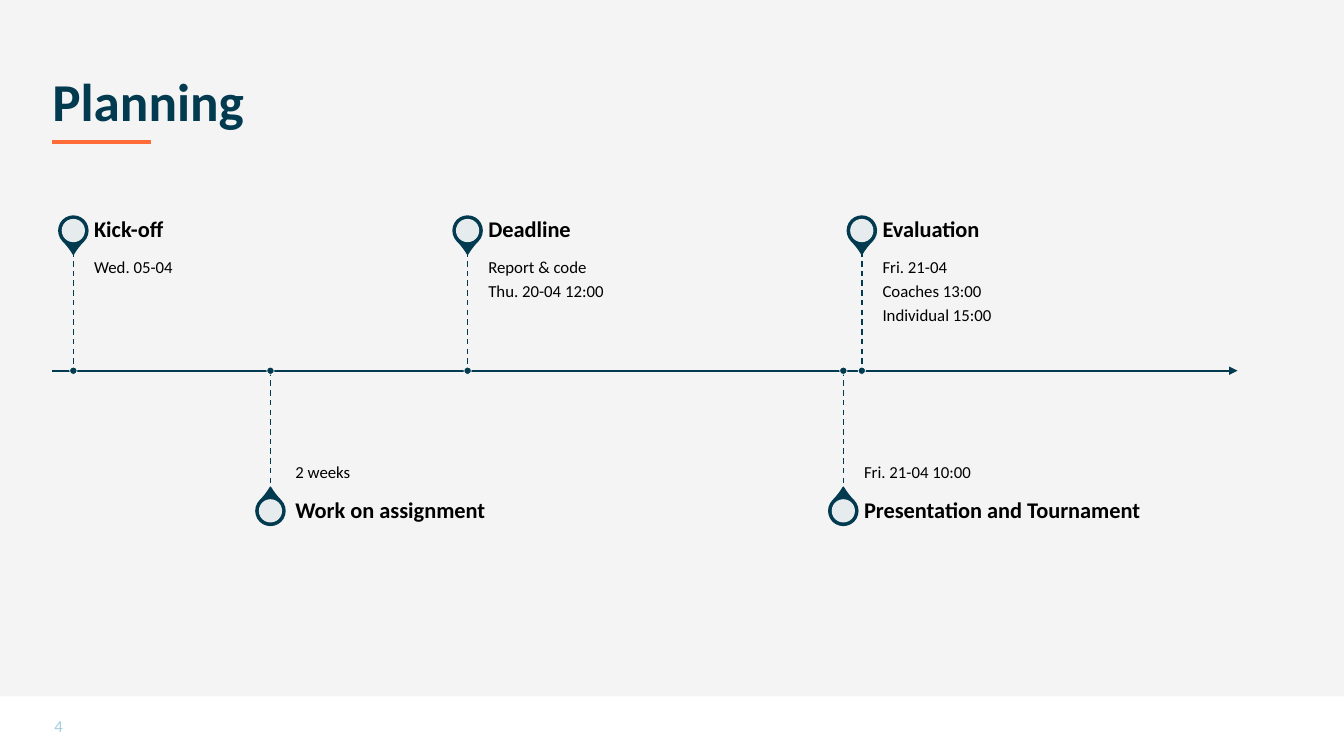
from pptx import Presentation
from pptx.dml.color import RGBColor
from pptx.enum.dml import MSO_LINE as Dash
from pptx.enum.shapes import MSO_CONNECTOR as Link, MSO_SHAPE as Kind
from pptx.enum.text import MSO_ANCHOR as Anchor, MSO_AUTO_SIZE as Auto, PP_ALIGN as Align
from pptx.oxml.ns import qn
from pptx.util import Pt
from lxml.etree import SubElement

NAVY = RGBColor(0x02, 0x3A, 0x4F)
ORANGE = RGBColor(0xFF, 0x6C, 0x37)
PALE = RGBColor(0xA6, 0xCD, 0xDD)
GREY = RGBColor(0xF4, 0xF4, 0xF4)
WHITE = RGBColor(0xFF, 0xFF, 0xFF)
BLACK = RGBColor(0, 0, 0)
FONT = "Calibri"

STEM = 85.3
HEAD = 30
FIRST, STEP = 15.4, 140.8
EVENTS = [
    (FIRST, True, "Kick-off", "Wed. 05-04", 0),
    (FIRST + STEP, False, "Work on assignment", "2 weeks", 3),
    (FIRST + 2 * STEP, True, "Deadline", "Report & code\nThu. 20-04 12:00", 0),
    (565.4, False, "Presentation and Tournament", "Fri. 21-04 10:00", 0),
    (FIRST + 4 * STEP, True, "Evaluation",
     "Fri. 21-04\nCoaches 13:00\nIndividual 15:00", 0),
]


def shape(slide, kind, x, y, w, h, fill, edge=None, width=1):
    item = slide.shapes.add_shape(kind, Pt(x), Pt(y), Pt(w), Pt(h))
    item.shadow.inherit = False
    item.fill.solid()
    item.fill.fore_color.rgb = fill
    if edge is None:
        item.line.fill.background()
    else:
        item.line.color.rgb = edge
        item.line.width = Pt(width)
    return item


def line(slide, x1, y1, x2, y2, color, width):
    item = slide.shapes.add_connector(Link.STRAIGHT, Pt(x1), Pt(y1), Pt(x2), Pt(y2))
    item.line.color.rgb = color
    item.line.width = Pt(width)
    SubElement(item.element.spPr, qn("a:effectLst"))
    return item


def write(item, text, size, color, anchor, bold=False, inset=(0, 0, 0, 0), after=0, lead=0.9):
    frame = item.text_frame
    frame.text = text
    frame.word_wrap = True
    frame.auto_size = Auto.NONE
    frame.vertical_anchor = anchor
    frame.margin_left, frame.margin_top, frame.margin_right, frame.margin_bottom = map(Pt, inset)
    for para in frame.paragraphs:
        para.alignment = Align.LEFT
        para.line_spacing = lead
        para.space_before = Pt(0)
        para.space_after = Pt(after)
        for run in para.runs:
            font = run.font
            font.name, font.size, font.bold = FONT, Pt(size), bold
            font.color.rgb = color


def label(slide, x, y, w, h, *args, **style):
    write(slide.shapes.add_textbox(Pt(x), Pt(y), Pt(w), Pt(h)), *args, **style)


def header(slide, x, y, w, h):
    title = slide.shapes.title
    title.left, title.top, title.width, title.height = Pt(x), Pt(y), Pt(w), Pt(h)
    write(title, "Planning", 38, NAVY, Anchor.MIDDLE, bold=True)
    panel = shape(slide, Kind.RECTANGLE, 0, 0, 960, 497.5, GREY)
    panel.element.addnext(title.element)
    line(slide, x, y + 46.8, x + 70.6, y + 46.8, ORANGE, 3)


def event(slide, x, y, above, name, note, pad):
    side = -1 if above else 1
    end = y + side * STEM
    mid = end + side * 14.8
    pin = shape(slide, Kind.TEAR, x - 10.4, mid - 10.4, 20.8, 20.8, NAVY, NAVY)
    pin.adjustments[0] = 1.15
    pin.rotation = 135 if above else 315
    hole = shape(slide, Kind.OVAL, x - 8.3, mid - 8.3, 16.6, 16.6, WHITE)
    tone = hole.element.spPr.find(qn("a:solidFill"))[0]
    SubElement(tone, qn("a:alpha")).set("val", "90000")
    left = x + 14.8
    anchor = Anchor.TOP if above else Anchor.BOTTOM
    inset = (pad, 5.8, 5.8, 8.6) if above else (pad, 8.6, 0, 5.8)
    label(slide, left, min(y, end), 234.7, STEM, note, 12, BLACK, anchor,
          inset=inset, after=4.2)
    label(slide, left, end - HEAD if above else end, 234.7, HEAD, name, 16, BLACK,
          Anchor.MIDDLE, bold=True, inset=(pad, 0, 8, 0), after=5.6)
    stem = line(slide, x, min(y, end), x, max(y, end), NAVY, 1)
    stem.line.dash_style = Dash.DASH
    shape(slide, Kind.OVAL, x - 2.6, y - 2.6, 5.2, 5.2, NAVY, WHITE, 0.5)


def timeline(slide, x, y, w):
    axis = line(slide, x, y, x + w, y, NAVY, 1.5)
    SubElement(axis.line._get_or_add_ln(), qn("a:tailEnd")).set("type", "triangle")
    for dx, *rest in EVENTS:
        event(slide, x + dx, y, *rest)


def footer(slide, x, y, w, h):
    label(slide, x, y, w, h, "4", 12, PALE, Anchor.MIDDLE, lead=1)


def main():
    deck = Presentation()
    deck.slide_width, deck.slide_height = Pt(960), Pt(540)
    slide = deck.slides.add_slide(deck.slide_layouts[5])
    header(slide, 37.4, 54.7, 903.6, 38.9)
    timeline(slide, 37, 264.8, 847)
    footer(slide, 38.9, 504, 38.2, 28.8)
    deck.save("out.pptx")


if __name__ == "__main__":
    main()
